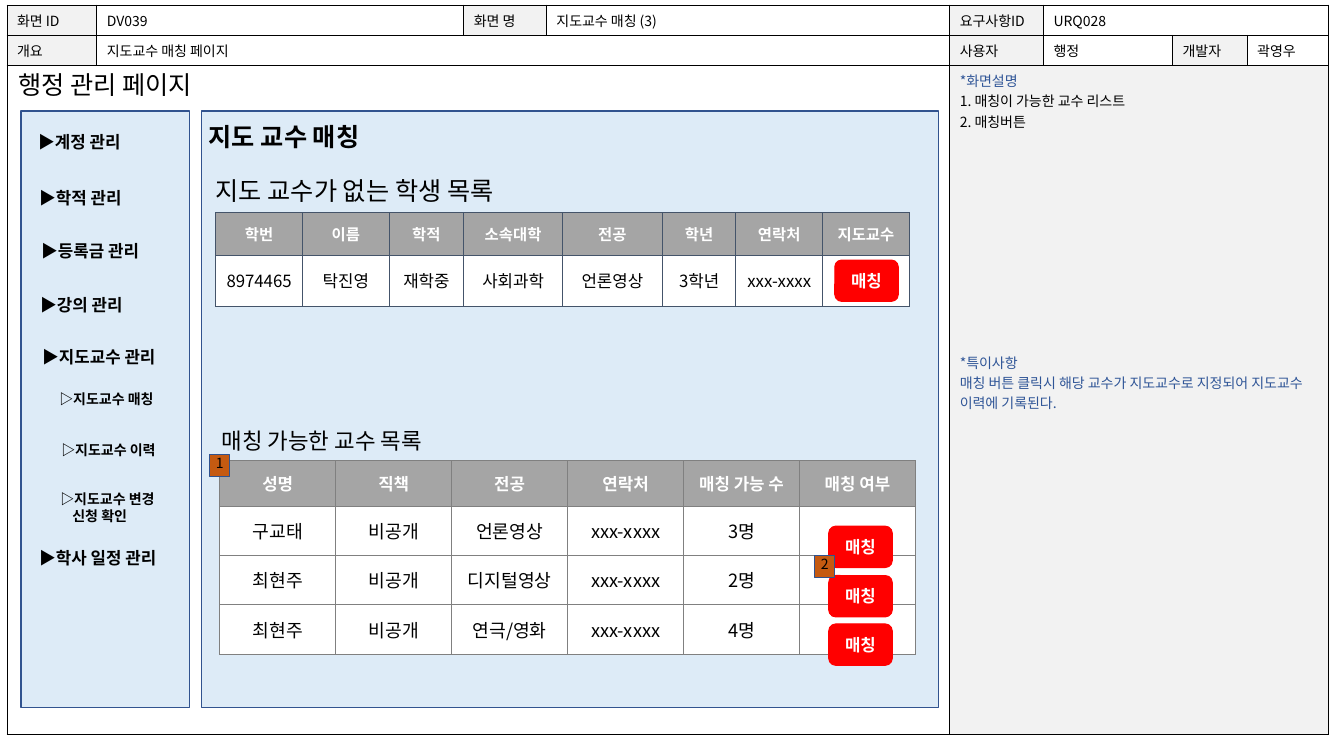
from dataclasses import dataclass
from typing import Any, Optional, Sequence, Union

from lxml.etree import SubElement
from pptx import Presentation
from pptx.dml.color import RGBColor
from pptx.enum.shapes import MSO_SHAPE
from pptx.enum.text import MSO_ANCHOR, PP_ALIGN
from pptx.oxml.ns import qn
from pptx.util import Inches, Pt


@dataclass(frozen=True)
class Theme:
    font: str = "Noto Sans CJK KR"
    black: str = "000000"
    white: str = "FFFFFF"
    label: str = "F2F2F2"
    note: str = "2F5597"
    panel: str = "DDEBF7"
    panel_line: str = "31538F"
    head: str = "A5A5A5"
    student_line: str = "44546A"
    professor_line: str = "808080"
    button: str = "FF0000"
    marker: str = "C55A11"
    marker_line: str = "2F528F"
    small: int = 10
    column: int = 11
    body: int = 12
    large: int = 13
    subtitle: int = 16
    title: int = 18


@dataclass(frozen=True)
class Para:
    text: str
    color: Optional[str] = None
    left: float = 0
    hang: float = 0
    before: float = 0


@dataclass(frozen=True)
class Label:
    text: Union[str, Sequence[Para]]
    x: float
    y: float
    w: float
    h: float
    size: int
    bold: bool = False
    inset: tuple[float, float] = (0, 0)
    anchor: Any = MSO_ANCHOR.MIDDLE


@dataclass(frozen=True)
class Block:
    x: float
    y: float
    w: float
    h: float
    fill: str
    line: str
    weight: float = 1
    kind: Any = MSO_SHAPE.RECTANGLE


@dataclass(frozen=True)
class ListTable:
    x: float
    y: float
    cols: Sequence[float]
    rows: Sequence[float]
    line: str
    head_size: int
    body_size: int
    data: Sequence[str]


T = Theme()
MENU_INSET = (0.1, 0.05)
PAD = (0.1, 0.1)


def write(tf, text, *, size: int, color: str = T.black, bold: bool = False,
          align=PP_ALIGN.LEFT, inset=(0, 0), anchor=MSO_ANCHOR.TOP, cell=None) -> None:
    """Fill a text frame; a table cell takes the margins and anchor itself."""
    box = tf if cell is None else cell
    box.margin_left = box.margin_right = Inches(inset[0])
    box.margin_top = box.margin_bottom = Inches(inset[1])
    box.vertical_anchor = anchor
    tf.word_wrap = True
    paras = [Para(text)] if isinstance(text, str) else text
    for i, para in enumerate(paras):
        p = tf.add_paragraph() if i else tf.paragraphs[0]
        p.alignment = align
        if para.left:
            pPr = p._p.get_or_add_pPr()
            pPr.set("marL", str(Inches(para.left)))
            pPr.set("indent", str(-Inches(para.hang)))
        if para.before:
            p.space_before = Pt(para.before)
        if not para.text:
            p._p.get_or_add_endParaRPr().set("sz", str(size * 100))
            continue
        r = p.add_run()
        r.text = para.text
        r.font.size, r.font.bold, r.font.name = Pt(size), bold, T.font
        r.font.color.rgb = RGBColor.from_string(para.color or color)
        SubElement(r._r.get_or_add_rPr(), qn("a:ea")).set("typeface", T.font)


def add_label(s, b: Label) -> None:
    sp = s.shapes.add_textbox(*map(Inches, (b.x, b.y, b.w, b.h)))
    write(sp.text_frame, b.text, size=b.size, bold=b.bold, inset=b.inset, anchor=b.anchor)


def add_block(s, b: Block):
    sp = s.shapes.add_shape(b.kind, *map(Inches, (b.x, b.y, b.w, b.h)))
    sp.shadow.inherit = False
    sp.fill.solid()
    sp.fill.fore_color.rgb = RGBColor.from_string(b.fill)
    sp.line.color.rgb = RGBColor.from_string(b.line)
    sp.line.width = Pt(b.weight)
    return sp


def add_button(s, x: float, y: float) -> None:
    sp = add_block(s, Block(x, y, 0.63, 0.41, T.button, T.button, 0.75,
                            MSO_SHAPE.ROUNDED_RECTANGLE))
    write(sp.text_frame, "매칭", size=T.body, color=T.white, bold=True,
          align=PP_ALIGN.CENTER, inset=PAD, anchor=MSO_ANCHOR.MIDDLE)


def add_marker(s, text: str, x: float, y: float) -> None:
    sp = add_block(s, Block(x, y, 0.2, 0.22, T.marker, T.marker_line))
    write(sp.text_frame, text, size=T.small, align=PP_ALIGN.CENTER)


def add_grid(s, x: float, y: float, cols: Sequence[float], rows: Sequence[float], line: str):
    """Add an unstyled table with even borders."""
    frame = s.shapes.add_table(len(rows), len(cols), *map(Inches, (x, y, sum(cols), sum(rows))))
    table = frame.table
    table.first_row = table.horz_banding = False
    for col, w in zip(table.columns, cols):
        col.width = Inches(w)
    for row, h in zip(table.rows, rows):
        row.height = Inches(h)
    for cell in table.iter_cells():
        tcPr = cell._tc.get_or_add_tcPr()
        for side in ("a:lnL", "a:lnR", "a:lnT", "a:lnB"):
            ln = SubElement(tcPr, qn(side), w=str(Pt(0.75)))
            SubElement(SubElement(ln, qn("a:solidFill")), qn("a:srgbClr")).set("val", line)
    return table


def fill_cell(cell, shade: str, text, **fmt) -> None:
    cell.fill.solid()
    cell.fill.fore_color.rgb = RGBColor.from_string(shade)
    write(cell.text_frame, text, cell=cell, **fmt)


def add_list_table(s, t: ListTable) -> None:
    table = add_grid(s, t.x, t.y, t.cols, t.rows, t.line)
    for i, line in enumerate(t.data):
        head = i == 0
        for j, text in enumerate(line.split("|")):
            fill_cell(table.cell(i, j), T.head if head else T.white, text,
                      size=t.head_size if head else t.body_size,
                      color=T.white if head else T.black, bold=head,
                      align=PP_ALIGN.CENTER, inset=PAD, anchor=MSO_ANCHOR.MIDDLE)


def add_spec_table(s) -> None:
    notes = [Para("*화면설명", T.note),
             Para("1. 매칭이 가능한 교수 리스트", left=0.25, hang=0.25),
             Para("2. 매칭버튼", left=0.25, hang=0.25),
             Para("*특이사항", T.note, before=158),
             Para("매칭 버튼 클릭시 해당 교수가 지도교수로 지정되어 지도교수 이력에 기록된다.", T.note)]
    data = [["화면 ID", "DV039", "화면 명", "지도교수 매칭 (3)", "요구사항ID", "URQ028", "", ""],
            ["개요", "지도교수 매칭 페이지", "", "", "사용자", "행정", "개발자", "곽영우"],
            ["", "", "", "", notes, "", "", ""]]
    shaded = {(0, 0), (0, 2), (0, 4), (1, 0), (1, 4), (1, 6), (2, 4)}
    table = add_grid(s, 0.07, 0.05, [0.89, 3.64, 0.82, 4, 0.93, 1.28, 0.74, 0.81],
                     [0.27, 0.29, 6.64], T.black)
    for i, line in enumerate(data):
        for j, text in enumerate(line):
            fill_cell(table.cell(i, j), T.label if (i, j) in shaded else T.white,
                      text, size=T.small, inset=MENU_INSET)
    for row, first, last in [(0, 5, 7), (1, 1, 3), (2, 0, 3), (2, 4, 7)]:
        table.cell(row, first).merge(table.cell(row, last))


def main() -> None:
    prs = Presentation()
    prs.slide_width, prs.slide_height = Inches(13.33), Inches(7.5)
    s = prs.slides.add_slide(prs.slide_layouts[6])

    # Specification frame and page panels
    add_spec_table(s)
    for x, w in [(2, 7.31), (0.21, 1.67)]:
        add_block(s, Block(x, 1.1, w, 5.92, T.panel, T.panel_line))

    # Side menu
    for text, x, y in [("계정 관리", 0.28, 1.26), ("학적 관리", 0.29, 1.81),
                       ("등록금 관리", 0.31, 2.34), ("강의 관리", 0.3, 2.87),
                       ("지도교수 관리", 0.32, 3.39), ("학사 일정 관리", 0.29, 5.38)]:
        add_label(s, Label("▶" + text, x, y, 1.89, 0.3, T.body, True, MENU_INSET, MSO_ANCHOR.TOP))
    change = [Para("▷지도교수 변경"), Para("신청 확인", left=0.12)]
    for text, x, y, h in [("▷지도교수 매칭", 0.49, 3.83, 0.27),
                          ("▷지도교수 이력", 0.51, 4.33, 0.27), (change, 0.5, 4.82, 0.44)]:
        add_label(s, Label(text, x, y, 1.67, h, T.small, True, MENU_INSET, MSO_ANCHOR.TOP))

    # Headings
    for label in [Label("행정 관리 페이지", 0.18, 0.69, 4.08, 0.41, T.title, anchor=MSO_ANCHOR.TOP),
                  Label("지도 교수 매칭", 2.07, 1.15, 2.09, 0.41, T.title, True),
                  Label("지도 교수가 없는 학생 목록", 2.14, 1.68, 3.36, 0.41, T.title),
                  Label("매칭 가능한 교수 목록", 2.2, 4.17, 2.59, 0.41, T.subtitle)]:
        add_label(s, label)

    # Student and professor lists
    add_list_table(s, ListTable(
        2.14, 2.11, [0.86, 0.86, 0.74, 0.98, 0.99, 0.73, 0.86, 0.86], [0.42, 0.51],
        T.student_line, T.column, T.body,
        ["학번|이름|학적|소속대학|전공|학년|연락처|지도교수",
         "8974465|탁진영|재학중|사회과학|언론영상|3학년|xxx-xxxx|"]))
    add_list_table(s, ListTable(
        2.18, 4.57, [1.15] * 6, [0.45] + [0.49] * 3, T.professor_line, T.body, T.large,
        ["성명|직책|전공|연락처|매칭 가능 수|매칭 여부",
         "구교태|비공개|언론영상|xxx-xxxx|3명|",
         "최현주|비공개|디지털영상|xxx-xxxx|2명|",
         "최현주|비공개|연극/영화|xxx-xxxx|4명|"]))

    # Matching buttons and numbered markers
    for x, y in [(8.28, 2.58), (8.22, 5.22), (8.22, 5.71), (8.22, 6.19)]:
        add_button(s, x, y)
    add_marker(s, "2", 8.08, 5.51)
    add_marker(s, "1", 2.08, 4.51)

    prs.save("out.pptx")


if __name__ == "__main__":
    main()
